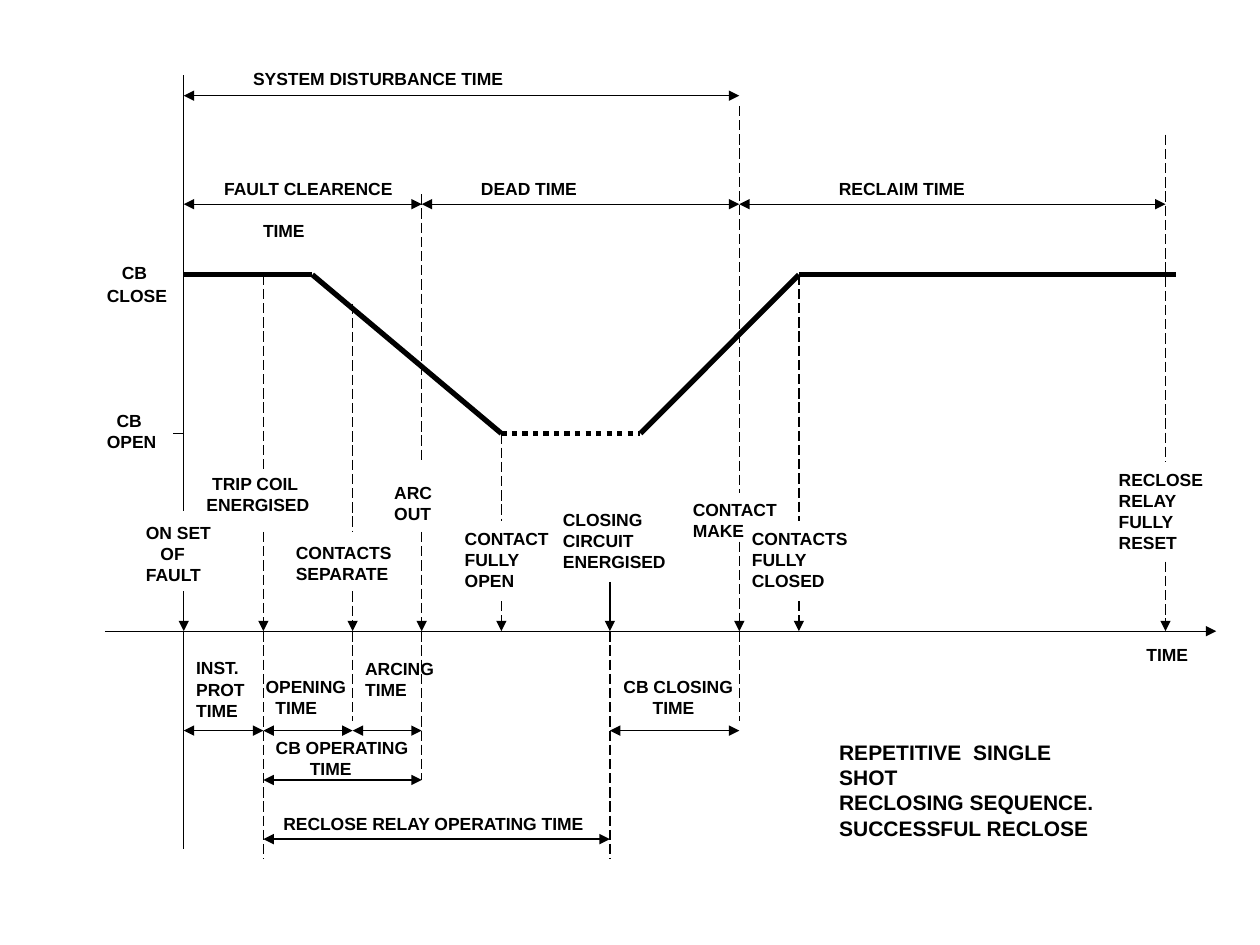
from dataclasses import dataclass
from itertools import pairwise

from lxml import etree
from pptx import Presentation
from pptx import util as u
from pptx.dml.color import RGBColor
from pptx.enum import dml, text
from pptx.enum.shapes import MSO_CONNECTOR
from pptx.oxml.ns import qn

BLACK = RGBColor(0, 0, 0)
DASHED = dml.MSO_LINE.LONG_DASH
DOTTED = dml.MSO_LINE.ROUND_DOT
FRAME_FORMAT = {
    "word_wrap": False,
    "auto_size": text.MSO_AUTO_SIZE.NONE,
    "vertical_anchor": text.MSO_ANCHOR.TOP,
    "margin_left": u.Pt(7.2),
    "margin_right": u.Pt(7.2),
    "margin_top": u.Pt(3.6),
    "margin_bottom": u.Pt(3.6),
}
FONT_FORMAT = {"name": "Arial", "bold": True}

# Moments on the time axis (x) and levels (y), in points
FAULT, TRIP, SEPARATE, ARC_OUT, OPEN = 105, 150.5, 201.5, 241, 286.5
CLOSING, MAKE, CLOSED, RESET = 348.5, 422.5, 456.5, 666
AXIS, CB_CLOSE, CB_OPEN = 360.7, 157, 247.7
PHASES, STEPS = 116.7, 417.5


@dataclass
class Line:
    x1: float
    y1: float
    x2: float
    y2: float
    width: float = 0.75
    dash: dml.MSO_LINE | None = None
    ends: tuple[str, ...] = ()


@dataclass
class Label:
    lines: tuple[str, ...]
    left: float
    top: float
    width: float
    indents: tuple[float, ...] = ()
    gap: float = 0
    size: float = 10


@dataclass
class Moment:
    """Vertical guide: drop above its label, arrow to the axis, tail below."""
    x: float
    arrow_top: float
    drop: tuple[float, float] | None = None
    bottom: float | None = None
    dash: dml.MSO_LINE | None = DASHED


@dataclass
class Span:
    start: float
    end: float
    y: float


MOMENTS = [
    Moment(FAULT, 338, (43, 292), 485, None),
    Moment(TRIP, 304, (CB_CLOSE, 270), 491),
    Moment(SEPARATE, 338, (173.5, 304), 412),
    Moment(ARC_OUT, 304, (111, 264), 446),
    Moment(OPEN, 343.5, (CB_OPEN, 298)),
    Moment(CLOSING, 332.5, None, 491),
    Moment(MAKE, 309.5, (60.5, 281.5), 412),
    Moment(CLOSED, 343.5, (CB_CLOSE, 298)),
    Moment(RESET, 321, (77, 264)),
]

SPANS = [
    Span(FAULT, MAKE, 54.7),
    *(Span(a, b, PHASES) for a, b in pairwise((FAULT, ARC_OUT, MAKE, RESET))),
    *(Span(a, b, STEPS) for a, b in pairwise((FAULT, TRIP, SEPARATE, ARC_OUT))),
    Span(CLOSING, MAKE, STEPS),
    Span(TRIP, ARC_OUT, 445.7),
    Span(TRIP, CLOSING, 479.5),
]

CURVE = [(FAULT, CB_CLOSE), (178.5, CB_CLOSE), (OPEN, CB_OPEN),
         (366, CB_OPEN), (CLOSED, CB_CLOSE), (672, CB_CLOSE)]

LABELS = [
    # Breaker states and axis
    Label(("CB", "CLOSE"), 54, 146, 48, (8.5,), 1.5),
    Label(("CB", "OPEN"), 54, 230.5, 42.5, (5.5,)),
    Label(("TIME",), 648, 364.5, 38),
    # Moments
    Label(("ON SET", "OF", "FAULT"), 76.3, 294.5, 51, (0, 8.3)),
    Label(("TRIP COIL", "ENERGISED"), 110.9, 267, 72.7, (3.3,)),
    Label(("CONTACTS", "SEPARATE"), 162, 306, 69.8),
    Label(("ARC", "OUT"), 218.2, 272, 36),
    Label(("CONTACT", "FULLY", "OPEN"), 258.5, 298, 62.6),
    Label(("CLOSING", "CIRCUIT", "ENERGISED"), 314.6, 287.3, 72.7),
    Label(("CONTACT", "MAKE"), 388.8, 281.5, 62.6),
    Label(("CONTACTS", "FULLY", "CLOSED"), 422.6, 298, 69.8),
    Label(("RECLOSE", "RELAY", "FULLY", "RESET"), 632.2, 264.2, 62.6),
    # Durations
    Label(("SYSTEM DISTURBANCE TIME",), 137.5, 35.3, 157),
    Label(("FAULT CLEARENCE", "TIME"), 121, 98, 111.6, (0, 22.2), 12),
    Label(("DEAD TIME",), 267.8, 98, 69),
    Label(("RECLAIM TIME",), 472.3, 98, 86.4),
    Label(("INST.", "PROT", "TIME"), 105, 372.2, 41.8),
    Label(("OPENING", "TIME"), 144.7, 383, 60.5, (0, 5.6)),
    Label(("ARCING", "TIME"), 201.6, 372.2, 53.3),
    Label(("CB OPERATING", "TIME"), 150.5, 417.6, 90.7, (0, 19.5)),
    Label(("RECLOSE RELAY OPERATING TIME",), 154.8, 460.8, 187),
    Label(("CB CLOSING", "TIME"), 349.2, 383, 77, (0, 16.7)),
]

TITLE = Label(("REPETITIVE  SINGLE SHOT", "RECLOSING SEQUENCE.",
               "SUCCESSFUL RECLOSE"), 472.3, 419, 172, size=12)


def draw_line(slide, line: Line) -> None:
    connector = slide.shapes.add_connector(
        MSO_CONNECTOR.STRAIGHT,
        *(u.Pt(value) for value in (line.x1, line.y1, line.x2, line.y2)))
    connector.line.color.rgb = BLACK
    connector.line.width = u.Pt(line.width)
    if line.dash:
        connector.line.dash_style = line.dash
    outline = connector.line._get_or_add_ln()
    for end in line.ends:
        etree.SubElement(outline, qn(f"a:{end}"), type="triangle")
    etree.SubElement(connector._element.spPr, qn("a:effectLst"))


def draw_moment(slide, moment: Moment) -> None:
    x, dash = moment.x, moment.dash
    if moment.drop:
        draw_line(slide, Line(x, moment.drop[0], x, moment.drop[1], dash=dash))
    arrow_dash = None if moment.x == CLOSING else dash
    draw_line(slide, Line(x, moment.arrow_top, x, AXIS, dash=arrow_dash,
                          ends=("tailEnd",)))
    if moment.bottom:
        draw_line(slide, Line(x, AXIS, x, moment.bottom, dash=dash))


def fill_label(shape, label: Label) -> None:
    box = {"left": label.left, "top": label.top, "width": label.width,
           "height": 7.2 + 1.2 * label.size * len(label.lines) + label.gap}
    for name, value in box.items():
        setattr(shape, name, u.Pt(value))
    frame = shape.text_frame
    for name, value in FRAME_FORMAT.items():
        setattr(frame, name, value)
    frame.text = "\n".join(label.lines)
    for index, paragraph in enumerate(frame.paragraphs):
        paragraph.alignment = text.PP_ALIGN.LEFT
        paragraph.space_before = u.Pt(label.gap if index else 0)
        if index < len(label.indents):
            properties = paragraph._p.get_or_add_pPr()
            properties.set("marL", str(u.Pt(label.indents[index])))
        font = paragraph.runs[0].font
        for name, value in FONT_FORMAT.items():
            setattr(font, name, value)
        font.size = u.Pt(label.size)
        font.color.rgb = BLACK


def main() -> None:
    presentation = Presentation()
    presentation.slide_width, presentation.slide_height = u.Pt(720), u.Pt(540)
    slide = presentation.slides.add_slide(presentation.slide_layouts[5])
    fill_label(slide.shapes.title, TITLE)

    # Time axis and the tick of the open state
    draw_line(slide, Line(60, AXIS, 695, AXIS, ends=("tailEnd",)))
    draw_line(slide, Line(99, CB_OPEN, FAULT, CB_OPEN))

    # Breaker position, dotted while it stays open
    for start, end in pairwise(CURVE):
        dash = DOTTED if start[1] == end[1] == CB_OPEN else None
        draw_line(slide, Line(*start, *end, width=3, dash=dash))

    # Guides, durations and wording
    for moment in MOMENTS:
        draw_moment(slide, moment)
    for span in SPANS:
        draw_line(slide, Line(span.start, span.y, span.end, span.y,
                              ends=("headEnd", "tailEnd")))
    for label in LABELS:
        fill_label(slide.shapes.add_textbox(0, 0, 0, 0), label)

    presentation.save("out.pptx")


if __name__ == "__main__":
    main()
